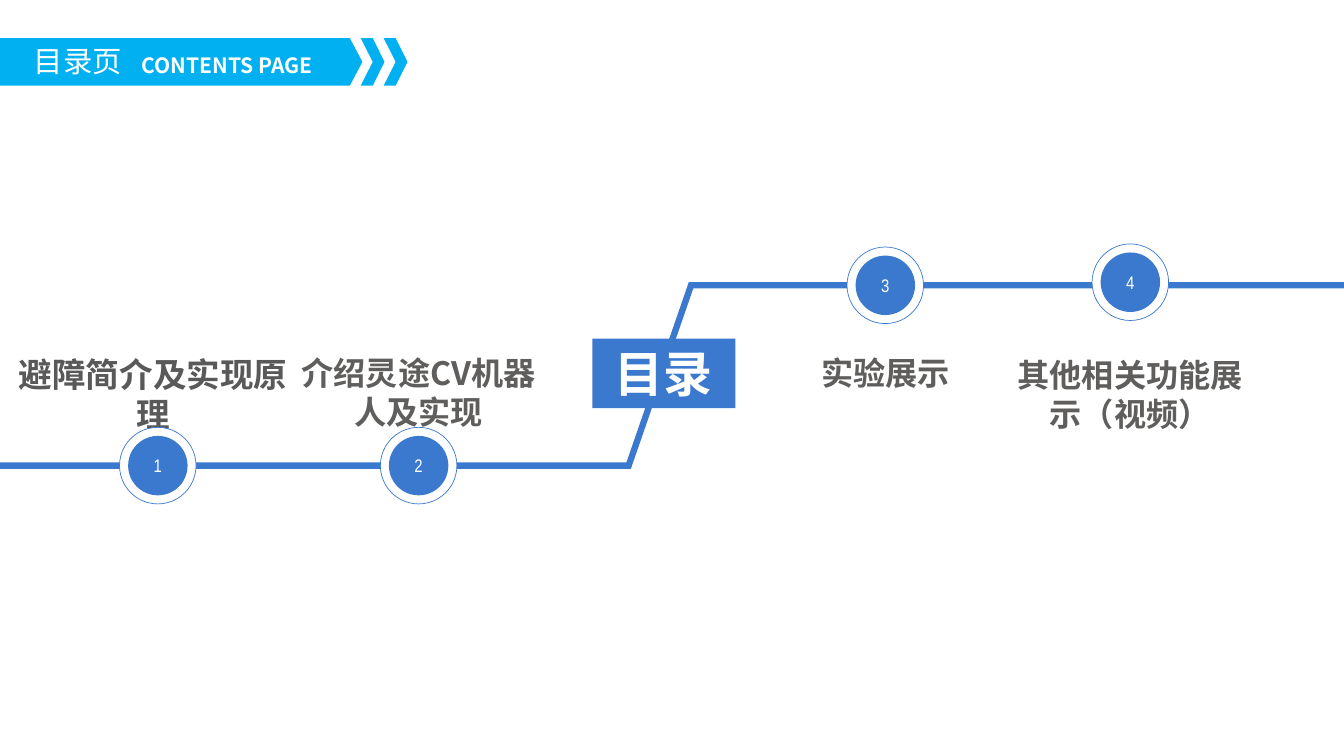
import pptx
import pptx.dml.color
import pptx.enum.shapes
import pptx.enum.text
import pptx.oxml
import pptx.oxml.ns
import pptx.util

Pt = pptx.util.Pt
ALIGN = pptx.enum.text.PP_ALIGN
ANCHOR = pptx.enum.text.MSO_ANCHOR
SHAPES = pptx.enum.shapes.MSO_SHAPE

COLOURS = {
    "blue": "3B79CE",
    "banner": "00B0F0",
    "white": "FFFFFF",
    "dark_grey": "595959",
    "grey": "5F5E5C",
}
SANS = "Noto Sans CJK SC"
SLIDE_WIDTH, SLIDE_HEIGHT = 960.5, 540
LOW_Y, HIGH_Y = 332.6, 203.8
RING_SIZE, DISC_SIZE = 54.7, 42.5
BANNER_TOP, BANNER_MIDDLE, BANNER_BOTTOM = 27.2, 44.2, 61.2

# Number, circle centre
STEPS = [
    ("1", 112.8, LOW_Y),
    ("2", 299.2, LOW_Y),
    ("3", 632.7, HIGH_Y),
    ("4", 807.8, 201.6),
]
# Text, box (left, top, width, height), format values that differ
HEADINGS = [
    ("避障简介及实现原理", (0, 249.1, 218.9, 64.8),
     {"size": Pt(24), "name": "Noto Sans CJK JP", "colour": "dark_grey"}),
    ("介绍灵途CV机器人及实现", (200.9, 249.1, 196.6, 62.6), {}),
    ("实验展示", (547.2, 249.1, 171.4, 35.3), {}),
    ("其他相关功能展示（视频）", (714.2, 250.6, 187.2, 62.6), {}),
]


def rgb(colour):
    return pptx.dml.color.RGBColor.from_string(COLOURS[colour])


def paint(shape, fill=None, line=None, line_width=0):
    shape.shadow.inherit = False
    if fill:
        shape.fill.solid()
        shape.fill.fore_color.rgb = rgb(fill)
    else:
        shape.fill.background()
    if line:
        shape.line.color.rgb = rgb(line)
        shape.line.width = Pt(line_width)
    else:
        shape.line.fill.background()


def write(shape, text, colour, anchor=ANCHOR.TOP, align=ALIGN.CENTER, **font):
    frame = shape.text_frame
    frame.word_wrap = True
    frame.vertical_anchor = anchor
    paragraph = frame.paragraphs[0]
    paragraph.alignment = align
    run = paragraph.add_run()
    run.text = text
    run.font.color.rgb = rgb(colour)
    for attribute, value in font.items():
        setattr(run.font, attribute, value)
    # Chinese characters take the East Asian typeface
    east_asian = pptx.oxml.parse_xml(
        f'<a:ea {pptx.oxml.ns.nsdecls("a")} typeface="{font["name"]}"/>')
    run.font._element.append(east_asian)


def add_text(slide, box, text, **values):
    shape = slide.shapes.add_textbox(*map(Pt, box))
    write(shape, text, **values)


def add_outline(slide, points, close=True, **paint_values):
    corners = [(Pt(x), Pt(y)) for x, y in points]
    builder = slide.shapes.build_freeform(*corners[0], scale=1.0)
    builder.add_line_segments(corners[1:], close=close)
    shape = builder.convert_to_shape()
    paint(shape, **paint_values)
    return shape


def add_circle(slide, x, y, size, **paint_values):
    shape = slide.shapes.add_shape(
        SHAPES.OVAL, Pt(x - size / 2), Pt(y - size / 2), Pt(size), Pt(size))
    paint(shape, **paint_values)
    return shape


def add_step(slide, number, x, y):
    add_circle(slide, x, y, RING_SIZE, fill="white", line="blue", line_width=0.5)
    disc = add_circle(slide, x, y, DISC_SIZE, fill="blue")
    write(disc, number, "white", anchor=ANCHOR.MIDDLE,
          size=Pt(13), name="Arial Narrow")


def add_track(slide):
    points = [(0, LOW_Y), (449.3, LOW_Y), (493.9, HIGH_Y), (SLIDE_WIDTH, HIGH_Y)]
    track = add_outline(slide, points, close=False, line="blue", line_width=4.5)
    miter = pptx.oxml.parse_xml(
        f'<a:miter {pptx.oxml.ns.nsdecls("a")} lim="800000"/>')
    track.line._ln.append(miter)


def add_chevron(slide, left):
    add_outline(slide, [
        (left, BANNER_TOP), (left + 8.6, BANNER_TOP), (left + 17, BANNER_MIDDLE),
        (left + 8.6, BANNER_BOTTOM), (left, BANNER_BOTTOM),
        (left + 8.6, BANNER_MIDDLE)], fill="banner")


def add_banner(slide):
    for index in range(2):
        add_chevron(slide, 257.8 + 16.4 * index)
    add_outline(slide, [
        (0, BANNER_TOP), (250, BANNER_TOP), (259, BANNER_MIDDLE),
        (250, BANNER_BOTTOM), (0, BANNER_BOTTOM)], fill="banner")
    add_text(slide, (94.3, 33.8, 163.4, 25.2), "CONTENTS PAGE", colour="white",
             align=ALIGN.LEFT, size=Pt(15), bold=True, name=SANS)
    add_text(slide, (0, 27.2, 94.3, 32.4), "目录页", colour="white",
             align=ALIGN.RIGHT, size=Pt(21), name=SANS)


def add_centre_title(slide):
    shape = slide.shapes.add_shape(
        SHAPES.RECTANGLE, Pt(423.4), Pt(241.9), Pt(102.2), Pt(49.7))
    paint(shape, fill="blue")
    write(shape, "目录", "white", size=Pt(35), bold=True, name=SANS)


def main():
    presentation = pptx.Presentation()
    presentation.slide_width = Pt(SLIDE_WIDTH)
    presentation.slide_height = Pt(SLIDE_HEIGHT)
    slide = presentation.slides.add_slide(presentation.slide_layouts[6])

    # Track, headings and numbered steps
    add_track(slide)
    heading_format = {"size": Pt(23), "bold": True, "name": SANS, "colour": "grey"}
    for text, box, changes in HEADINGS:
        add_text(slide, box, text, **{**heading_format, **changes})
    for step in STEPS:
        add_step(slide, *step)

    # Centre title and page banner
    add_centre_title(slide)
    add_banner(slide)

    presentation.save("out.pptx")


if __name__ == "__main__":
    main()
